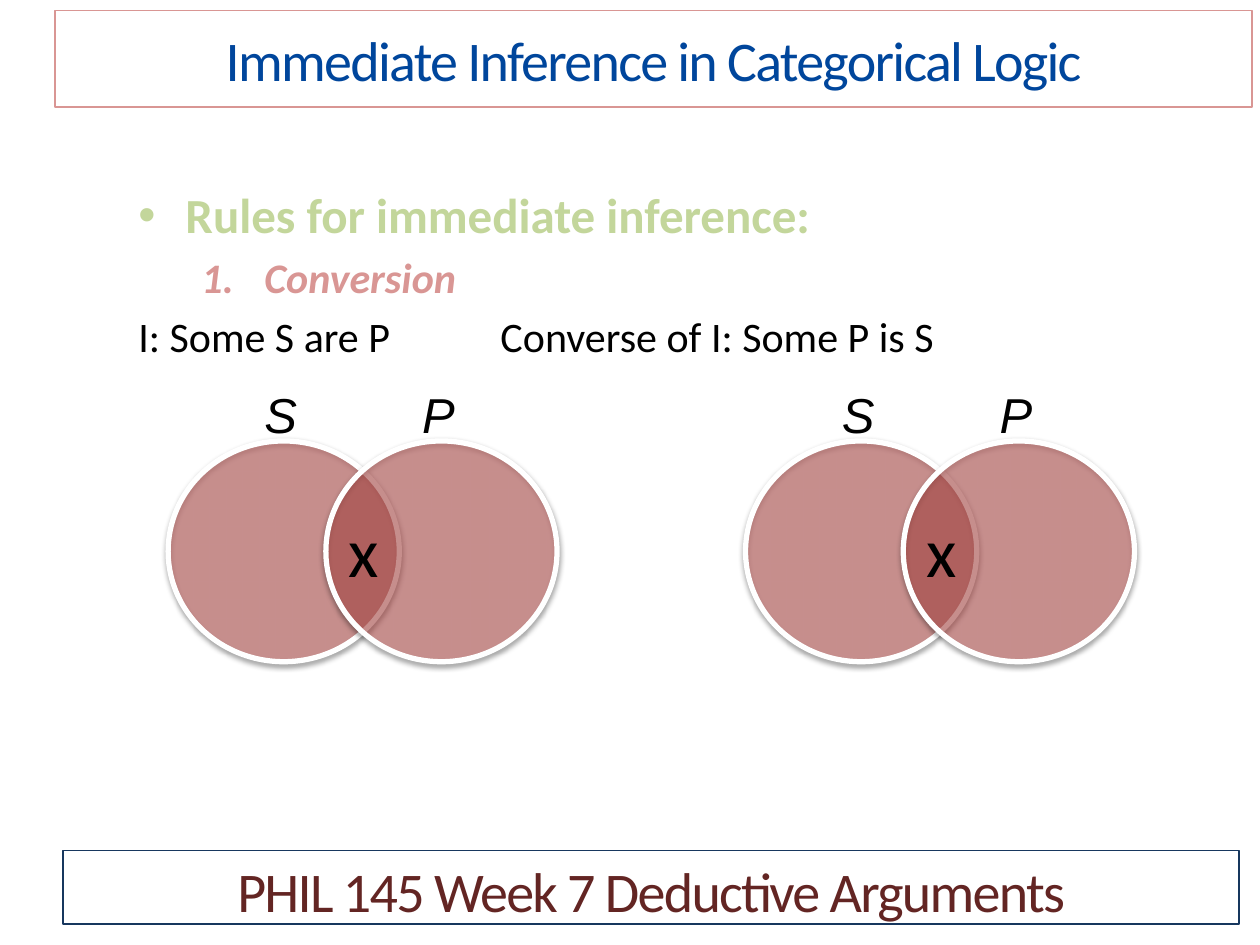
from dataclasses import dataclass

from lxml import etree
from pptx import Presentation
from pptx.dml.color import RGBColor
from pptx.enum.shapes import MSO_SHAPE
from pptx.enum.text import MSO_ANCHOR, MSO_AUTO_SIZE, PP_ALIGN
from pptx.oxml.ns import qn
from pptx.util import Cm, Pt

OVAL, RECT = MSO_SHAPE.OVAL, MSO_SHAPE.RECTANGLE
TOP, MIDDLE = MSO_ANCHOR.TOP, MSO_ANCHOR.MIDDLE
CENTER = PP_ALIGN.CENTER
NO_FIT, GROW = MSO_AUTO_SIZE.NONE, MSO_AUTO_SIZE.SHAPE_TO_FIT_TEXT


@dataclass(frozen=True)
class Theme:
    font: str = "Calibri"
    label_font: str = "Arial"
    title: str = "00469C"
    title_line: str = "D99694"
    footer: str = "632523"
    footer_line: str = "17375E"
    heading: str = "C3D69B"
    rule: str = "D99694"
    text: str = "000000"
    circle: str = "C0504D"
    circle_line: str = "FFFFFF"
    banner_size: int = 32
    heading_size: int = 28
    body_size: int = 24
    mark_size: int = 40


THEME = Theme()


def rgb(value):
    return RGBColor.from_string(value)


def add_xml(parent, tag, **attrs):
    return etree.SubElement(parent, qn(tag), {k: str(v) for k, v in attrs.items()})


def style_runs(p, size, color, font=THEME.font, bold=False, italic=False):
    for r in p.runs:
        r.font.size, r.font.name = Pt(size), font
        r.font.bold, r.font.italic = bold, italic
        r.font.color.rgb = rgb(color)


def format_banner(sp, box, text, color, line, anchor):
    sp.left, sp.top, sp.width, sp.height = (Cm(v) for v in box)
    sp.fill.background()
    sp.line.color.rgb = rgb(line)
    sp.line.width = Pt(0.75)
    tf = sp.text_frame
    tf.text = text
    tf.word_wrap, tf.auto_size, tf.vertical_anchor = True, NO_FIT, anchor
    p = tf.paragraphs[0]
    p.alignment = CENTER
    style_runs(p, THEME.banner_size, color)
    for r in p.runs:
        r.font._element.set("spc", "-100")


def add_title(s, box):
    format_banner(s.shapes.title, box, "Immediate Inference in Categorical Logic",
                  THEME.title, THEME.title_line, MIDDLE)


def add_footer(s, box):
    sp = s.shapes.add_shape(RECT, 0, 0, 0, 0)
    sp.shadow.inherit = False
    format_banner(sp, box, "PHIL 145 Week 7 Deductive Arguments",
                  THEME.footer, THEME.footer_line, TOP)


def add_rules(s, box):
    tf = s.shapes.add_textbox(*(Cm(v) for v in box)).text_frame
    tf.word_wrap = True
    rows = [
        ("Rules for immediate inference:", THEME.heading_size, THEME.heading,
         True, False, 0.95, -0.95, ("a:buChar", {"char": "•"})),
        ("Conversion", THEME.body_size, THEME.rule,
         True, True, 2.54, -1.27, ("a:buAutoNum", {"type": "arabicPeriod"})),
        ("I: Some S are P\t\tConverse of I: Some P is S", THEME.body_size, THEME.text,
         False, False, 0.95, -0.95, ("a:buNone", {})),
    ]
    for i, (text, size, color, bold, italic, margin, indent, bullet) in enumerate(rows):
        p = tf.paragraphs[0] if i == 0 else tf.add_paragraph()
        p.text = text
        p.space_before = Pt(0.2 * size)
        style_runs(p, size, color, bold=bold, italic=italic)
        pPr = p._p.get_or_add_pPr()
        pPr.set("marL", str(Cm(margin)))
        pPr.set("indent", str(Cm(indent)))
        tag, attrs = bullet
        if tag != "a:buNone":
            font = THEME.label_font if tag == "a:buChar" else THEME.font
            add_xml(pPr, "a:buFont", typeface=font)
        add_xml(pPr, tag, **attrs)


def add_circle(s, left, top, width, height):
    sp = s.shapes.add_shape(OVAL, Cm(left), Cm(top), Cm(width), Cm(height))
    sp.fill.solid()
    sp.fill.fore_color.rgb = rgb(THEME.circle)
    add_xml(sp._element.spPr.find(".//" + qn("a:srgbClr")), "a:alpha", val=50000)
    sp.line.color.rgb = rgb(THEME.circle_line)
    sp.line.width = Pt(3)
    sp.shadow.inherit = False
    effects = sp._element.spPr.find(qn("a:effectLst"))
    shadow = add_xml(effects, "a:outerShdw", blurRad=Pt(3.1), dist=Pt(1.6),
                     dir=5400000, rotWithShape=0)
    color = add_xml(shadow, "a:srgbClr", val=THEME.text)
    add_xml(color, "a:alpha", val=38000)


def add_label(s, left, top, height, text, size, font, italic):
    sp = s.shapes.add_textbox(Cm(left), Cm(top), Cm(1.17), Cm(height))
    tf = sp.text_frame
    tf.text = text
    tf.word_wrap, tf.auto_size = False, GROW
    style_runs(tf.paragraphs[0], size, THEME.text, font, italic=italic)


def add_venn(s, left, top):
    step = 3.18
    for i in range(2):
        add_circle(s, left + i * step, top + 1.27, 4.66, 4.45)
    for i, name in enumerate("SP"):
        add_label(s, left + 1.69 + i * step, top, 1.45, name,
                  THEME.heading_size, THEME.label_font, True)
    add_label(s, left + 3.39, top + 2.49, 1.96, "x", THEME.mark_size, THEME.font, False)


def main():
    prs = Presentation()
    prs.slide_width, prs.slide_height = Cm(25.4), Cm(19.05)
    s = prs.slides.add_slide(prs.slide_layouts[5])
    add_title(s, (1.11, 0.21, 24.13, 1.95))
    add_rules(s, (2.54, 3.6, 21.59, 12.7))
    for left in (3.39, 15.03):
        add_venn(s, left, 7.62)
    add_footer(s, (1.27, 17.15, 23.71, 1.48))
    prs.save("out.pptx")


if __name__ == "__main__":
    main()
